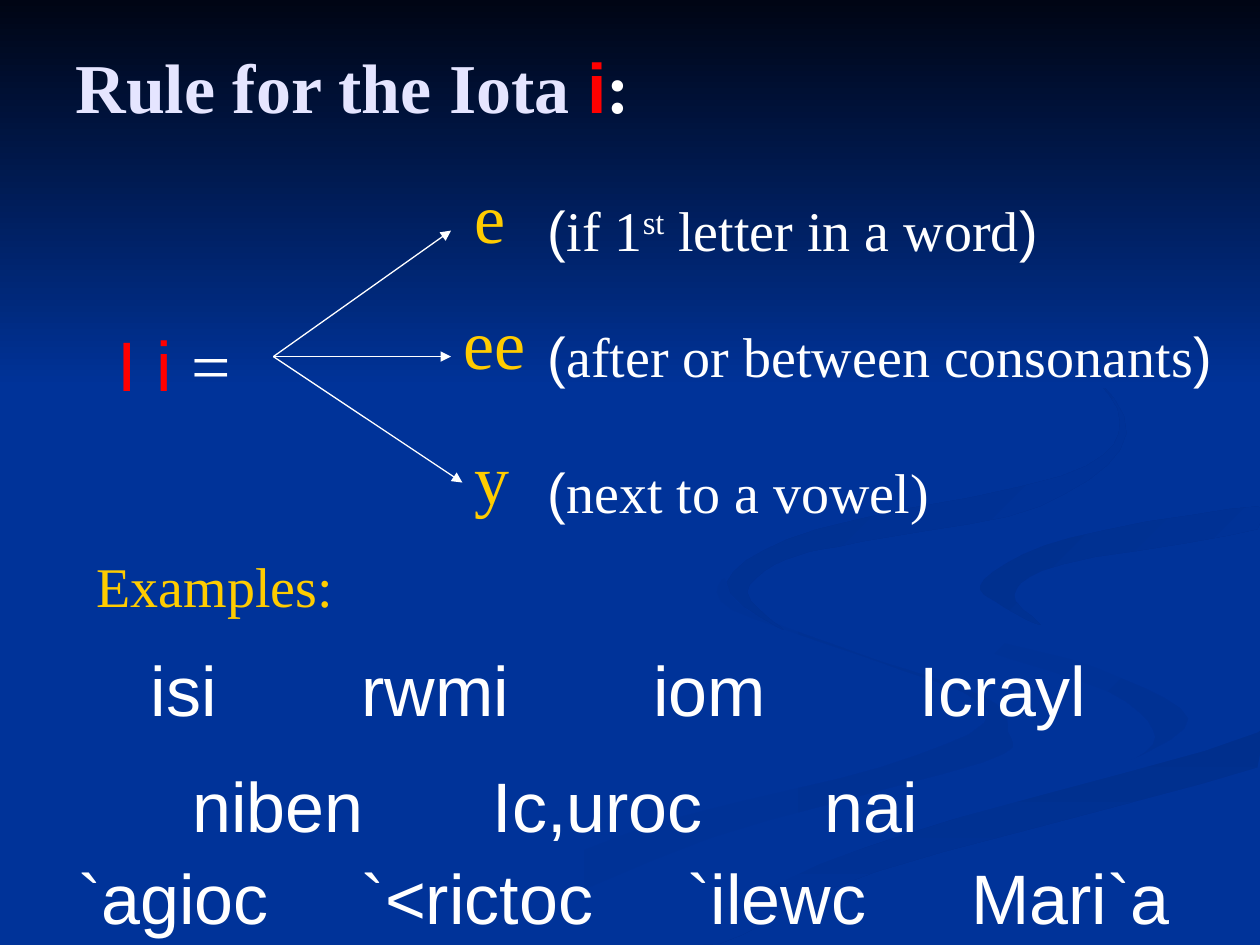
import pptx
import pptx.util
import pptx.dml.color
import pptx.enum.shapes
import pptx.enum.text
import pptx.oxml
import pptx.oxml.ns

PX = 9144  # 100 px to the inch
RGB = pptx.dml.color.RGBColor
BLUE = RGB(0x00, 0x33, 0x99)
NIGHT = RGB(0x00, 0x05, 0x14)
SHADE = RGB(0x00, 0x31, 0x93)
DEEP = RGB(0x00, 0x2F, 0x8D)
PALE = RGB(0xE5, 0xE5, 0xFF)
WHITE = RGB(0xFF, 0xFF, 0xFF)
GOLD = RGB(0xFF, 0xCC, 0x00)
RED = RGB(0xFF, 0x00, 0x00)
SANS, SERIF = "Arial", "Times New Roman"
ALIGN = pptx.enum.text.PP_ALIGN
ANCHOR = pptx.enum.text.MSO_ANCHOR

deck = pptx.Presentation()
deck.slide_width, deck.slide_height = 1000 * PX, 750 * PX
slide = deck.slides.add_slide(deck.slide_layouts[5])
shapes = slide.shapes
title = shapes.title
slide.background.fill.solid()
slide.background.fill.fore_color.rgb = BLUE


def text(runs, box, shape=None, size=40, bold=False, align=ALIGN.LEFT,
         anchor=ANCHOR.TOP, lead=None):
    """Fill a text box, or the given shape, with (words, font, colour) runs."""
    left, top, width, height = [n * PX for n in box]
    if shape is None:
        shape = shapes.add_textbox(left, top, width, height)
    else:
        shape.left, shape.top, shape.width, shape.height = left, top, width, height
    frame = shape.text_frame
    frame.word_wrap = True
    frame.auto_size = pptx.enum.text.MSO_AUTO_SIZE.NONE
    frame.vertical_anchor = anchor
    para = frame.paragraphs[0]
    para.alignment = align
    if lead:
        para.line_spacing = lead
    for words, face, color in runs:
        run = para.add_run()
        run.text = words
        run.font.name, run.font.size = face, pptx.util.Pt(size)
        run.font.bold, run.font.color.rgb = bold, color
        if words == "st":
            run.font._element.set("baseline", "30000")


def curve(knots, steps=5):
    """Points of a closed Catmull-Rom curve through the knots, kept on the slide."""
    dots = []
    for i, b in enumerate(knots):
        a, c, d = knots[i - 1], knots[(i + 1) % len(knots)], knots[(i + 2) % len(knots)]
        for t in [step / steps for step in range(steps)]:
            x, y = [q + t * (r - p + t * (2 * p - 5 * q + 4 * r - s
                                          + t * (3 * (q - r) + s - p))) / 2
                    for p, q, r, s in zip(a, b, c, d)]
            dots.append((min(round(x), 1000), min(round(y), 750)))
    return dots


# Background ribbons, back to front: first colour, last colour, angle, knots
waves = [
    (BLUE, SHADE, 0, [
        (781, 553), (682, 519), (594, 485), (575, 459), (581, 484), (697, 525),
        (785, 566), (699, 609), (499, 661), (300, 749), (361, 749), (564, 665),
        (780, 605), (800, 581)]),
    (BLUE, SHADE, 45, [
        (943, 570), (870, 530), (758, 498), (724, 464), (755, 505), (880, 549),
        (917, 585), (894, 605)]),
    (DEEP, BLUE, 90, [
        (503, 749), (571, 749), (695, 692), (998, 609), (998, 581), (797, 638),
        (630, 693)]),
    (BLUE, BLUE, 0, [
        (725, 464), (759, 498), (871, 530), (943, 570), (892, 605), (663, 668),
        (477, 749), (519, 747), (696, 669), (999, 581), (999, 538), (832, 498),
        (781, 463), (850, 427), (999, 402), (999, 387), (770, 427)]),
    (DEEP, BLUE, 45, [
        (781, 460), (791, 478), (826, 496), (805, 472), (843, 448), (998, 420),
        (998, 402), (849, 427)]),
    (DEEP, BLUE, 45, [
        (683, 430), (825, 402), (894, 344), (843, 275), (762, 233), (846, 279),
        (889, 335), (842, 378), (649, 420), (577, 462), (622, 500), (593, 470),
        (624, 444)]),
    (NIGHT, BLUE, 90, None),  # sky over the top of the slide
]
for first, last, angle, knots in waves:
    if knots:
        dots = curve(knots)
        pen = shapes.build_freeform(*dots[0], scale=PX)
        pen.add_line_segments(dots[1:], close=True)
        shape = pen.convert_to_shape()
    else:
        shape = shapes.add_shape(pptx.enum.shapes.MSO_SHAPE.RECTANGLE,
                                 0, 0, 1000 * PX, 308 * PX)
    shape.shadow.inherit = False
    shape.line.fill.background()
    shape.fill.gradient()
    shape.fill.gradient_angle = -angle % 360
    for stop, color in zip(shape.fill.gradient_stops, (first, last)):
        stop.color.rgb = color

text([("Rule for the Iota ", SERIF, PALE), ("i", SANS, RED), (":", SERIF, WHITE)],
     (50, 33, 492, 70), shape=title, bold=True, anchor=ANCHOR.MIDDLE)
# Bring the title in front of the background shapes
shapes._spTree.append(title._element)

text([("I i ", SANS, RED), ("=", SERIF, WHITE)], (42, 250, 192, 77), align=ALIGN.CENTER)

# Sounds of the letter
for sound, box, lead in [("e", (367, 133, 50, 77), None),
                         ("ee", (358, 233, 83, 77), None),
                         ("y", (367, 358, 83, 59), 0.7)]:
    text([(sound, SERIF, GOLD)], box, lead=lead)

# Arrows fan out from one point
space = pptx.oxml.ns.nsdecls("a")
for x, y in [(358, 183), (358, 283), (367, 383)]:
    arrow = shapes.add_connector(pptx.enum.shapes.MSO_CONNECTOR.STRAIGHT,
                                 217 * PX, 283 * PX, x * PX, y * PX)
    arrow.line.color.rgb = WHITE
    arrow.line.width = pptx.util.Pt(0.75)
    arrow.line._get_or_add_ln().append(
        pptx.oxml.parse_xml(f'<a:tailEnd {space} type="triangle"/>'))
    arrow._element.spPr.append(pptx.oxml.parse_xml(f"<a:effectLst {space}/>"))

# When each sound is used
rules = [
    (150, 483, [("if 1", SERIF), ("st", SERIF), (" letter in a word", SERIF), (")", SANS)]),
    (250, 567, [("after or between consonants", SERIF), (")", SANS)]),
    (358, 350, [("next to a vowel)", SERIF)]),
]
for top, width, parts in rules:
    runs = [(words, face, WHITE) for words, face in [("(", SANS)] + parts]
    text(runs, (425, top, width, 64), size=32)

text([("Examples:", SERIF, GOLD)], (67, 433, 258, 63), size=32)

# Example words: top of row, then (word, left, width)
rows = [
    (508, [("isi", 67, 158), ("rwmi", 258, 175), ("iom", 492, 142), ("Icrayl", 692, 208)]),
    (600, [("niben", 133, 175), ("Ic,uroc", 358, 233), ("nai", 625, 133)]),
    (673, [("`agioc", 25, 225), ("`<rictoc", 258, 242), ("`ilewc", 525, 183),
           ("Mari`a", 733, 233)]),
]
for top, words in rows:
    for word, left, width in words:
        text([(word, SANS, WHITE)], (left, top, width, 77), align=ALIGN.CENTER)

deck.save("out.pptx")
